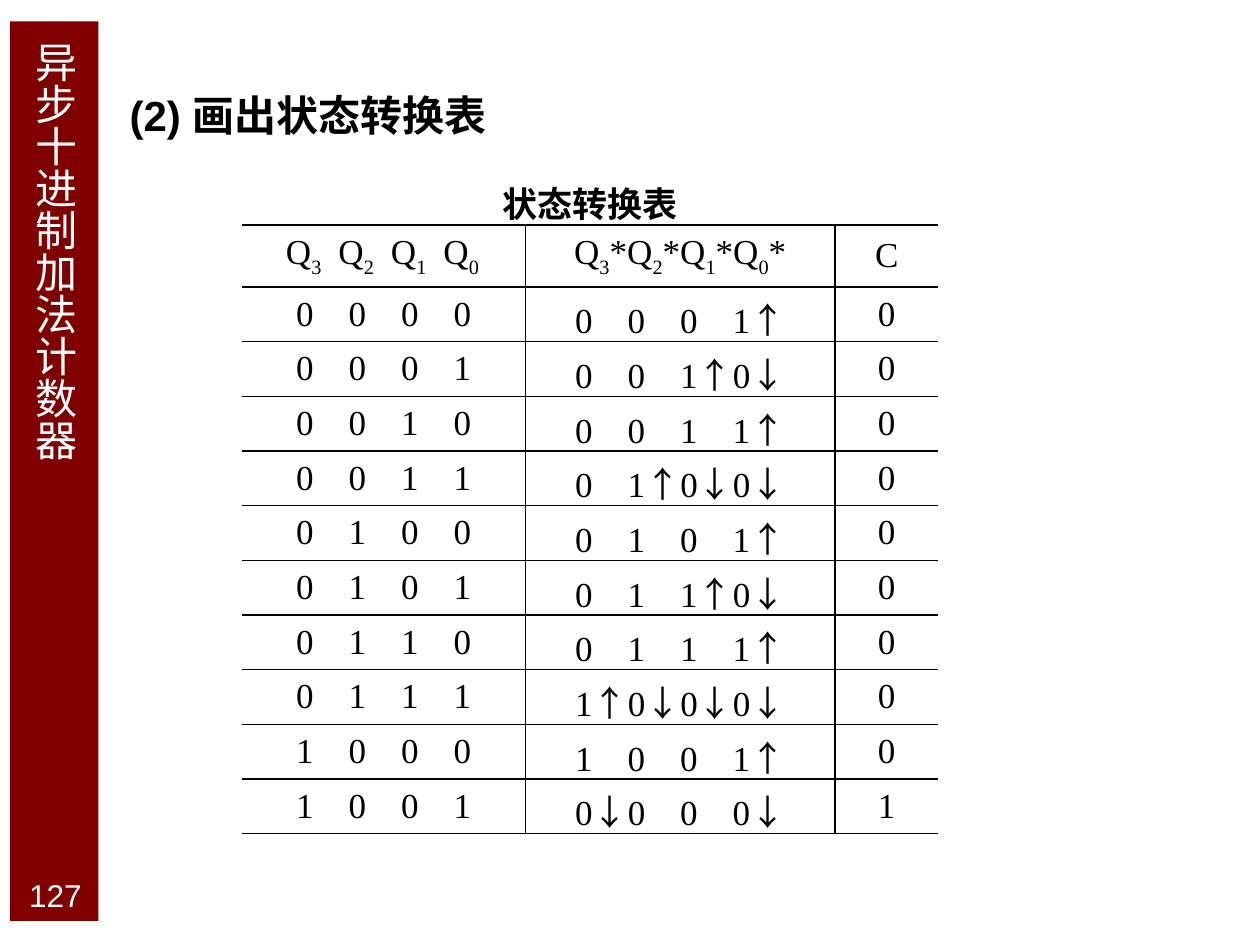
from itertools import groupby

from lxml import etree
from pptx import Presentation
from pptx.dml.color import RGBColor
from pptx.enum.lang import MSO_LANGUAGE_ID
from pptx.enum.shapes import MSO_SHAPE
from pptx.enum.text import MSO_ANCHOR, MSO_AUTO_SIZE, PP_ALIGN
from pptx.oxml.ns import qn
from pptx.util import Pt

CENTER, LEFT = PP_ALIGN.CENTER, PP_ALIGN.LEFT
MIDDLE = MSO_ANCHOR.MIDDLE
RECTANGLE = MSO_SHAPE.RECTANGLE
NO_AUTOFIT = MSO_AUTO_SIZE.NONE
CHINESE = MSO_LANGUAGE_ID.SIMPLIFIED_CHINESE
CJK_FONT = "Noto Sans CJK SC"
SERIF = "Times New Roman"
ARROWS = "↑↓"
DIGIT_PITCH = 30
NO_STYLE = "{2D5ABB26-0587-4C30-8999-92F81FD0307C}"


def format_run(run, size, color, latin, bold=False):
    font = run.font
    font.size = Pt(size)
    font.bold = bold
    font.name = latin
    font.color.rgb = RGBColor.from_string(color)
    font.language_id = CHINESE
    latin_element = run._r.get_or_add_rPr().find(qn("a:latin"))
    east_asian = etree.Element(qn("a:ea"), typeface=CJK_FONT)
    latin_element.addnext(east_asian)


def add_border(cell, side):
    line = etree.SubElement(cell._tc.get_or_add_tcPr(), qn("a:ln" + side), w="12700")
    fill = etree.SubElement(line, qn("a:solidFill"))
    etree.SubElement(fill, qn("a:srgbClr"), val="000000")


presentation = Presentation()
presentation.slide_width = Pt(720)
presentation.slide_height = Pt(540)
slide = presentation.slides.add_slide(presentation.slide_layouts[5])
title = slide.shapes.title

# Side band, placed behind the title
band = slide.shapes.add_shape(RECTANGLE, Pt(5.8), Pt(12.2), Pt(50.4), Pt(514))
band.shadow.inherit = False
band.fill.solid()
band.fill.fore_color.rgb = RGBColor.from_string("800000")
band.line.fill.background()
title._element.addprevious(band._element)

# Vertical title
title.left, title.top, title.width, title.height = Pt(9.4), Pt(20.2), Pt(44), Pt(439)
title_frame = title.text_frame
title_frame.text = "异步十进制加法计数器"
title_frame.auto_size = NO_AUTOFIT
title_frame.vertical_anchor = MIDDLE
title_frame._txBody.bodyPr.set("vert", "eaVert")
title_frame.paragraphs[0].alignment = LEFT
format_run(title_frame.paragraphs[0].runs[0], 24, "FFFFFF", "Karla")

# Heading and page number
for text, left, top, width, height, size, color, bold, alignment in (
    ("(2) 画出状态转换表", 67, 51.1, 653, 36, 24, "000000", True, LEFT),
    ("127", 8.6, 496.8, 46, 25.2, 18, "FFFFFF", False, CENTER),
):
    box = slide.shapes.add_textbox(Pt(left), Pt(top), Pt(width), Pt(height))
    box.text_frame.word_wrap = True
    box.text_frame.text = text
    paragraph = box.text_frame.paragraphs[0]
    paragraph.alignment = alignment
    paragraph.line_spacing = 0.9 if bold else 1.0
    format_run(paragraph.runs[0], size, color, "Arial", bold)

# Rows of the decade counter: state, next state with edges, carry
rows = [
    ["状态转换表", "", ""],
    ["Q3\tQ2\tQ1\tQ0", "Q3*Q2*Q1*Q0*", "C"],
]
for count in range(10):
    state = format(count, "04b")
    following = format((count + 1) % 10, "04b")
    next_text = ""
    for position, (old, new) in enumerate(zip(state, following)):
        gap = "\t" if position < 3 else ""
        edge = gap if old == new else ARROWS[int(old)]
        next_text += new + edge
    rows.append(["\t".join(state), next_text, str(int(count == 9))])

# Table frame
table = slide.shapes.add_table(len(rows), 3, Pt(138.2), Pt(97.2), Pt(398), Pt(378.4)).table
table.first_row = False
table.horz_banding = False
table._tbl.tblPr.find(qn("a:tableStyleId")).text = NO_STYLE
for column, width in zip(table.columns, (162, 177, 59)):
    column.width = Pt(width)
for row in table.rows:
    row.height = Pt(31.2)
table.rows[1].height = Pt(35.4)
table.cell(0, 0).merge(table.cell(0, 2))

# Table cells
for row_index, row_texts in enumerate(rows):
    for column_index, text in enumerate(row_texts):
        cell = table.cell(row_index, column_index)
        cell.vertical_anchor = MIDDLE
        if row_index > 0:
            sides = ("RTB", "LRTB", "LTB")[column_index]
        else:
            sides = "B"
        for side in sides:
            add_border(cell, side)
        cell.fill.background()
        if not text:
            continue

        paragraph = cell.text_frame.paragraphs[0]
        paragraph.alignment = CENTER
        is_state = row_index > 1 and column_index < 2
        if is_state or "\t" in text:
            # Digits stand on evenly spaced tab stops
            paragraph.alignment = LEFT
            cell.margin_left = Pt(28.5 if column_index else 31 if is_state else 25.2)
            cell.margin_right = 0
            tabs = etree.SubElement(paragraph._p.get_or_add_pPr(), qn("a:tabLst"))
            for stop in (1, 2, 3):
                etree.SubElement(tabs, qn("a:tab"), pos=str(Pt(stop * DIGIT_PITCH)), algn="l")

        # Arrows take the CJK font, header digits are subscripts
        for kind, letters in groupby(
            text, lambda letter: "arrow" if letter in ARROWS
            else "index" if row_index == 1 and letter.isdigit() else "plain"
        ):
            run = paragraph.add_run()
            run.text = "".join(letters)
            latin = CJK_FONT if kind == "arrow" else SERIF if row_index else "Arial"
            format_run(run, 20, "000000", latin, bold=row_index == 0)
            if kind == "index":
                run._r.get_or_add_rPr().set("baseline", "-30000")

presentation.save("out.pptx")
